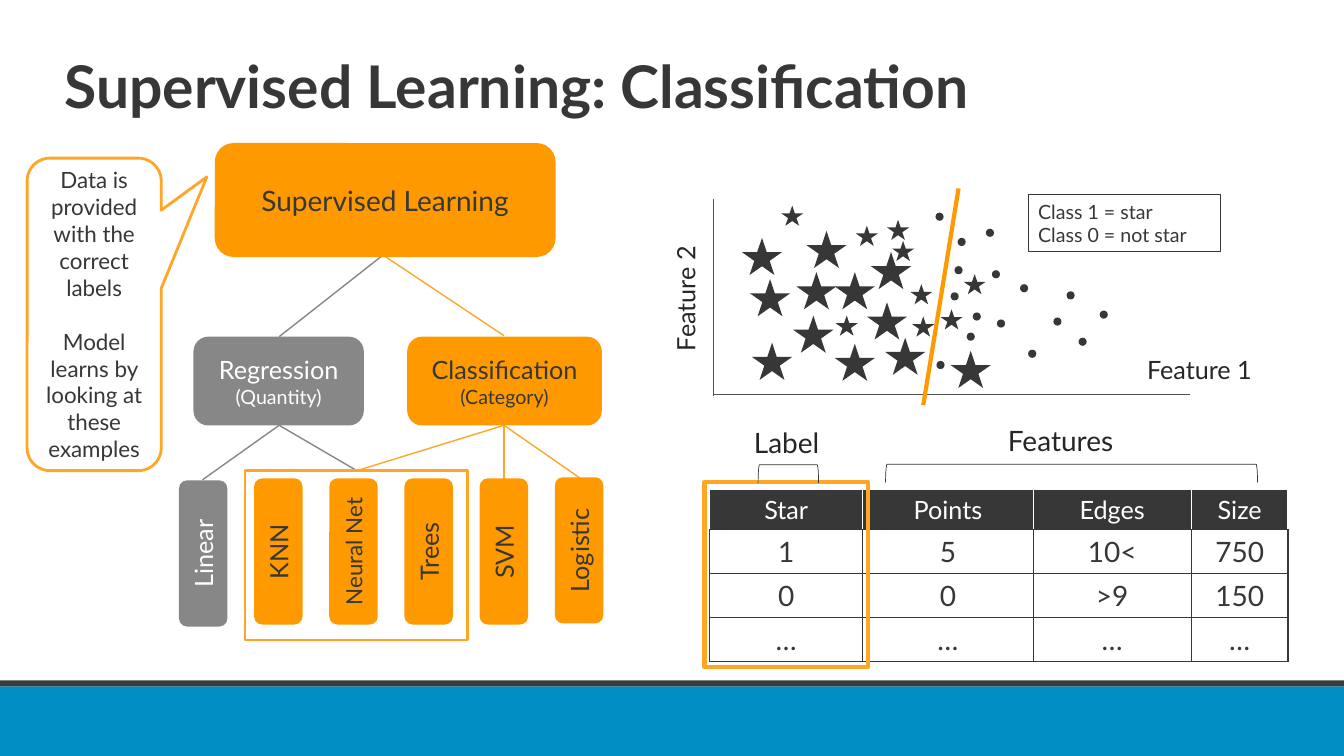
"""Build the slide on classification as a form of supervised learning."""
from lxml import etree
from pptx import Presentation
from pptx import util as u
from pptx.dml.color import RGBColor
from pptx.enum import shapes, text
from pptx.oxml.ns import qn

DARK, GREY, ORANGE, AMBER = "373737", "878787", "FF9900", "FFA725"
WHITE, BLACK, AXIS = "FFFFFF", "262626", "51504F"
KIND, MID, LEFT = shapes.MSO_SHAPE, text.PP_ALIGN.CENTER, text.PP_ALIGN.LEFT

BANDS = [((-1.4, 490.3, 963.4, 49.7), "008DC4"), ((-0.7, 486, 962, 4.3), "383D3B")]
TITLE = "Supervised Learning: Classification"
HINTS = ["Data is provided with the correct labels",
         "Model learns by looking at these examples"]

ROOT = ((153.4, 102.2, 243.4, 81.4), ORANGE, DARK, [("Supervised Learning", 20)])
NODES = [
    ((138.2, 240.5, 121.7, 63.4), GREY, WHITE, [("Regression", 18), ("(Quantity)", 14)]),
    ((290.9, 240.5, 139, 63.4), ORANGE, DARK, [("Classification", 18), ("(Category)", 14)]),
]
LEAVES = [("Linear", 18, 378, GREY, WHITE), ("KNN", 18, 376.6, ORANGE, DARK),
          ("Neural Net", 16, 376.6, ORANGE, DARK), ("Trees", 18, 376.6, ORANGE, DARK),
          ("SVM", 18, 376.6, ORANGE, DARK), ("Logistic", 18, 375.8, ORANGE, DARK)]
LEAF_X, LEAF_GAP, LEAF_W, LEAF_H = 92.9, 53.7, 104.4, 34.6

TOP, REG, CLS, SHARED = (273.6, 182.2), (199.4, 303.8), (360, 303.8), (254.9, 336.2)
LINKS = [
    (TOP, (199.4, 240.5), GREY), (TOP, (360, 239.8), AMBER),
    (REG, (144.7, 342.7), GREY), (CLS, (360, 342), AMBER),
    (CLS, (414, 341.3), AMBER), (SHARED, CLS, AMBER), (SHARED, REG, GREY),
]
AXES = [((509.8, 283), (509.8, 141.8)), ((509.8, 281.5), (850.3, 281.5))]
SPLIT = (684.7, 134.6), (659.5, 289.4)

BIG = [(529.9, 169.9), (535.7, 199.4), (566.6, 225.4), (537.1, 244.8),
       (568.8, 194.4), (596.2, 245.5), (632.2, 241.2), (576, 164.9),
       (596.2, 194.4), (619.2, 216), (622.1, 180), (679, 250.6)]
SMALL = [(633.6, 157), (650.2, 203), (671.8, 221), (596.9, 225.4), (558, 146.9),
         (651.6, 226.1), (611.3, 161.3), (637.2, 172.1), (688.3, 195.8)]
DOTS = [(728.6, 203), (679, 208.8), (681.8, 190.1), (694.8, 223.2),
        (668.9, 257.8), (668.2, 151.9), (704.2, 163.4), (761.8, 208.1),
        (752.4, 226.8), (734.4, 249.8), (712.1, 228.2), (690.5, 237.6),
        (708.5, 193), (770.4, 241.2), (684, 169.9), (785.5, 221.8)]
MARKS = [(KIND.STAR_5_POINT, 28.8, 26.6, BIG), (KIND.STAR_5_POINT, 15.8, 14.4, SMALL),
         (KIND.FLOWCHART_CONNECTOR, 5.8, 5.8, DOTS)]
KEY = ["Class 1 = star", "Class 0 = not star"]

LABELS = [("Features", 20, (712.8, 298.8, 92.9, 31.7), 0),
          ("Label", 20, (531.4, 300.2, 64.1, 31.7), 0),
          ("Feature 1", 18, (812.2, 249.8, 92.2, 28.8), 0),
          ("Feature 2", 18, (443.5, 197.3, 92.2, 28.8), 270)]
CLAMPS = [(758.9, 205.2, 13, 265.7), (556.6, 316.8, 13, 43.2)]
FRAMES = [((175, 336.2, 159.1, 121), 2), ((503.3, 344.2, 116.6, 132.5), 3)]

ROWS = [("Star", "Points", "Edges", "Size"), ("1", "5", "10<", "750"),
        ("0", "0", ">9", "150"), ("…", "…", "…", "…")]
COLS, HEAD_H, ROW_H = (109.4, 121.7, 113, 69.1), 28.4, 31.4


def rgb(code):
    return RGBColor.from_string(code)


def pts(nums):
    return [u.Pt(n) for n in nums]


def write(para, words, size, ink, bold=False):
    run = para.add_run()
    run.text = words
    run.font.size, run.font.name, run.font.bold = u.Pt(size), "Lato", bold
    run.font.color.rgb = rgb(ink)


def shape(kind, box, fill=None, line=None, wide=1, turn=0):
    item = slide.shapes.add_shape(kind, *pts(box))
    item.shadow.inherit = False
    item.rotation = turn
    if fill:
        item.fill.solid()
        item.fill.fore_color.rgb = rgb(fill)
    else:
        item.fill.background()
    if line:
        item.line.color.rgb, item.line.width = rgb(line), u.Pt(wide)
    else:
        item.line.fill.background()
    return item


def paras(item, lines, size, ink, align, gap=0):
    frame = item.text_frame
    frame.word_wrap = True
    for i, words in enumerate(lines):
        para = frame.add_paragraph() if i else frame.paragraphs[0]
        para.alignment = align
        if i:
            para.space_before = u.Pt(gap)
        write(para, words, size, ink)


def node(box, fill, ink, runs, turn=0):
    item = shape(KIND.ROUNDED_RECTANGLE, box, fill, turn=turn)
    item.text_frame.word_wrap = True
    para = item.text_frame.paragraphs[0]
    para.alignment = MID
    for i, (words, size) in enumerate(runs):
        if i:
            para.add_line_break()
        write(para, words, size, ink)


def link(start, end, ink, wide=1):
    item = slide.shapes.add_connector(shapes.MSO_CONNECTOR.STRAIGHT, *pts(start + end))
    item.line.color.rgb, item.line.width = rgb(ink), u.Pt(wide)
    etree.SubElement(item._element.spPr, qn("a:effectLst"))


def label(words, size, box, turn=0, ink=BLACK, bold=False):
    item = slide.shapes.add_textbox(*pts(box))
    item.rotation = turn
    item.text_frame.word_wrap = bold
    write(item.text_frame.paragraphs[0], words, size, ink, bold)
    return item


def edge(cell, inks):
    props = cell._tc.get_or_add_tcPr()
    for i, (side, ink) in enumerate(zip("LRTB", inks)):
        line = etree.Element(qn("a:ln" + side), w=str(u.Pt(1)))
        fill = etree.SubElement(line, qn("a:solidFill"))
        etree.SubElement(fill, qn("a:srgbClr"), val=ink)
        props.insert(i, line)


def grid():
    high = [HEAD_H] + [ROW_H] * (len(ROWS) - 1)
    box = (506.9, 349.6, sum(COLS), sum(high))
    table = slide.shapes.add_table(len(ROWS), len(COLS), *pts(box)).table
    for col, wide in zip(table.columns, COLS):
        col.width = u.Pt(wide)
    for r, row in enumerate(ROWS):
        table.rows[r].height = u.Pt(high[r])
        for c, words in enumerate(row):
            cell = table.cell(r, c)
            cell.fill.solid()
            cell.fill.fore_color.rgb = rgb(WHITE if r else DARK)
            edge(cell, [DARK] * 4 if r else [WHITE] * 3 + [DARK])
            cell.vertical_anchor = text.MSO_ANCHOR.TOP if r else text.MSO_ANCHOR.MIDDLE
            para = cell.text_frame.paragraphs[0]
            para.alignment = MID
            write(para, words, 20 if r else 18, DARK if r else WHITE)


deck = Presentation()
deck.slide_width, deck.slide_height = pts((960, 540))
slide = deck.slides.add_slide(deck.slide_layouts[6])

for box, fill in BANDS:
    shape(KIND.RECTANGLE, box, fill)
grid()
title = label(TITLE, 42, (38.9, 37.4, 828, 78.5), ink=DARK, bold=True)
title.text_frame.paragraphs[0].line_spacing = 0.9

hint = shape(KIND.ROUNDED_RECTANGULAR_CALLOUT, (19.4, 113, 95.8, 223.2), WHITE, AMBER, 2)
for i, value in enumerate((0.84, -0.44, 0.17)):
    hint.adjustments[i] = value
paras(hint, HINTS, 16, DARK, MID, 19.2)

for ends in LINKS:
    link(*ends)
for part in NODES + [ROOT]:
    node(*part)
for i, (words, size, top, fill, ink) in enumerate(LEAVES):
    box = (LEAF_X + i * LEAF_GAP, top, LEAF_W, LEAF_H)
    node(box, fill, ink, [(words, size)], 270)

for kind, wide, high, spots in MARKS:
    for x, y in spots:
        shape(kind, (x, y, wide, high), DARK)
for start, end in AXES:
    link(start, end, AXIS, 0.5)
link(*SPLIT, ORANGE, 3)
key = shape(KIND.RECTANGLE, (734.4, 139, 137.5, 41), None, DARK, 0.75)
paras(key, KEY, 14, DARK, LEFT)

for box, wide in FRAMES:
    shape(KIND.RECTANGLE, box, None, AMBER, wide)
for part in LABELS:
    label(*part)
for box in CLAMPS:
    shape(KIND.LEFT_BRACKET, box, None, DARK, 0.5, 90)

deck.save("out.pptx")
